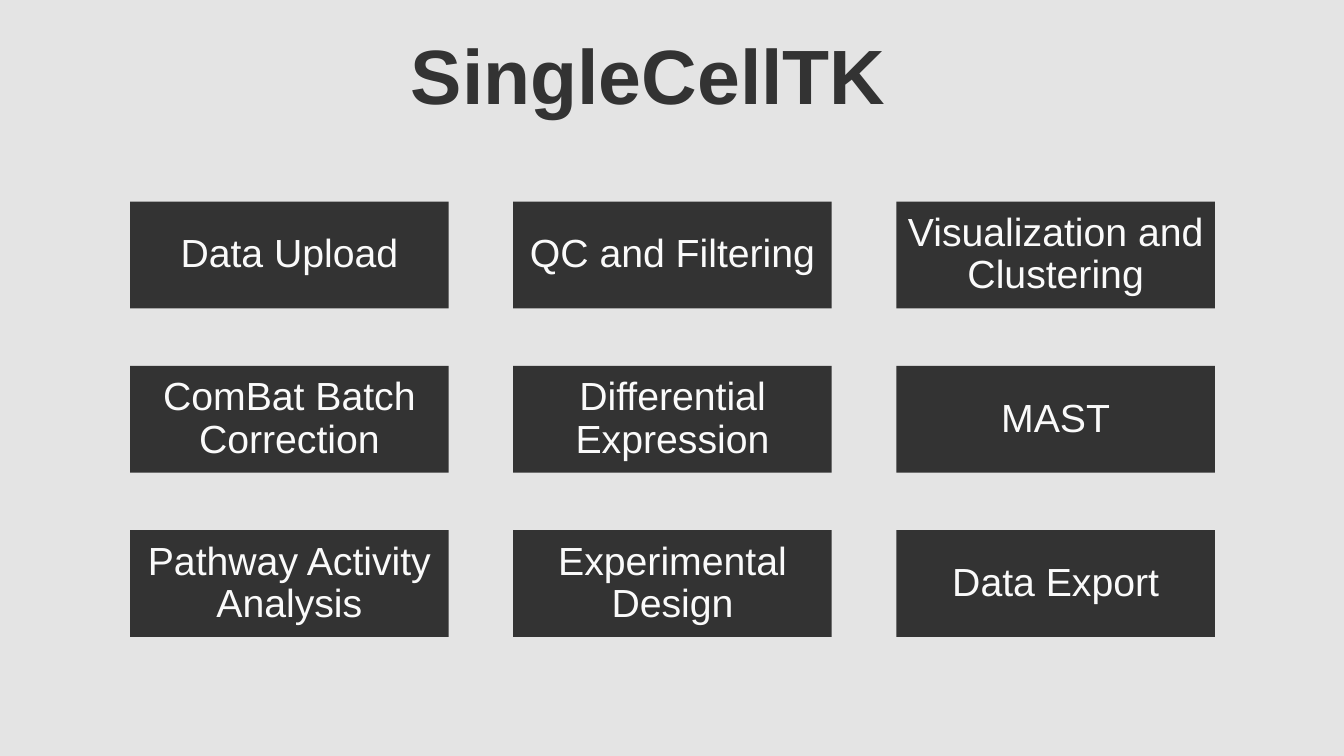
import pptx
import pptx.dml.color
import pptx.enum.shapes
import pptx.enum.text
import pptx.util
from pptx.util import Inches

TITLE = "SingleCellTK"
MODULES = [
    ["Data Upload", "QC and Filtering", "Visualization and Clustering"],
    ["ComBat Batch Correction", "Differential Expression", "MAST"],
    ["Pathway Activity Analysis", "Experimental Design", "Data Export"],
]
BACKGROUND, DARK, LIGHT = "E4E4E4", "333333", "FAFAFA"
TITLE_FONT = {"name": "Arial", "size": pptx.util.Pt(55), "bold": True}
MODULE_FONT = {"name": "Arial", "size": pptx.util.Pt(28), "bold": False}

LEFT, TOP = 1.29, 2
BOX_W, BOX_H = 3.16, 1.06
STEP_X, STEP_Y = 3.8, 1.63


def set_color(fill, color):
    fill.solid()
    fill.fore_color.rgb = pptx.dml.color.RGBColor.from_string(color)


def write_centred(sp, text, font, color):
    tf = sp.text_frame
    tf.word_wrap = True
    tf.vertical_anchor = pptx.enum.text.MSO_ANCHOR.MIDDLE
    p = tf.paragraphs[0]
    p.alignment = pptx.enum.text.PP_ALIGN.CENTER
    p.line_spacing = 0.9
    r = p.add_run()
    r.text = text
    for name, value in font.items():
        setattr(r.font, name, value)
    set_color(r.font.fill, color)


def add_module(s, text, x, y):
    sp = s.shapes.add_shape(
        pptx.enum.shapes.MSO_SHAPE.RECTANGLE,
        Inches(x), Inches(y), Inches(BOX_W), Inches(BOX_H))
    sp.shadow.inherit = False
    set_color(sp.fill, DARK)
    sp.line.fill.background()
    write_centred(sp, text, MODULE_FONT, LIGHT)


def main():
    prs = pptx.Presentation()
    prs.slide_width, prs.slide_height = Inches(13.33), Inches(7.5)
    s = prs.slides.add_slide(prs.slide_layouts[6])
    set_color(s.background.fill, BACKGROUND)

    title = s.shapes.add_textbox(
        Inches(0.68), Inches(0.14), Inches(11.5), Inches(1.29))
    write_centred(title, TITLE, TITLE_FONT, DARK)

    for row, names in enumerate(MODULES):
        for col, name in enumerate(names):
            add_module(s, name, LEFT + col * STEP_X, TOP + row * STEP_Y)

    prs.save("out.pptx")


if __name__ == "__main__":
    main()
